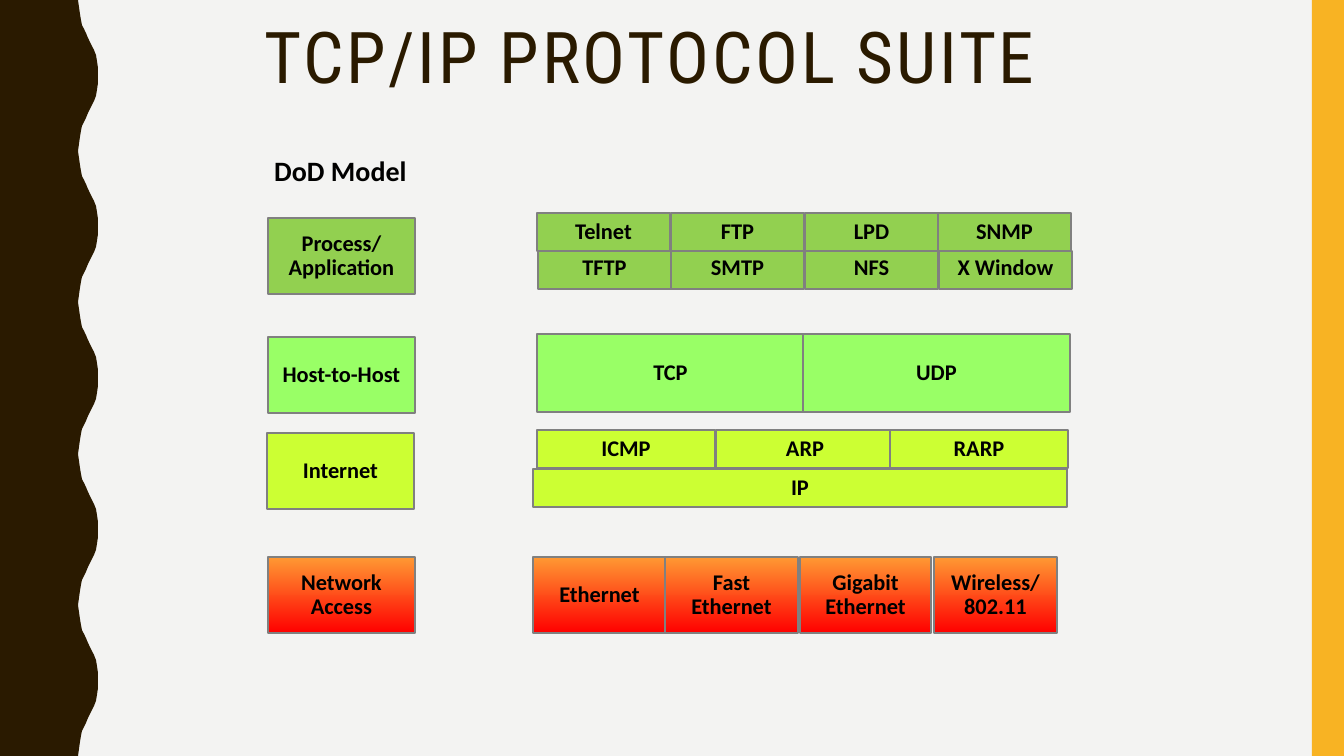
import pptx
import pptx.util
import pptx.dml.color
import pptx.enum.shapes
import pptx.enum.text

PX = 914400 / 100.8
RECT = pptx.enum.shapes.MSO_SHAPE.RECTANGLE
ANCHOR = pptx.enum.text.MSO_ANCHOR


def rgb(value):
    return pptx.dml.color.RGBColor.from_string(value)


def put_text(sp, text, size=16, font="Calibri", color="000000", bold=True,
             anchor=ANCHOR.MIDDLE, wrap=False, spacing=0):
    tf = sp.text_frame
    tf.word_wrap = wrap
    tf.vertical_anchor = anchor
    tf.text = text
    for p in tf.paragraphs:
        p.alignment = pptx.enum.text.PP_ALIGN.CENTER
        p.line_spacing = 0.9
        for r in p.runs:
            r.font.size = pptx.util.Pt(size)
            r.font.name = font
            r.font.bold = bold
            r.font.color.rgb = rgb(color)
            if spacing:
                r.font._element.set("spc", str(spacing * 100))


prs = pptx.Presentation()
prs.slide_width = round(1344 * PX)
prs.slide_height = round(756 * PX)
s = prs.slides.add_slide(prs.slide_layouts[6])
s.background.fill.solid()
s.background.fill.fore_color.rgb = rgb("F3F3F2")

period = 151.2
crest = [(78, 0), (79, 7), (80, 14), (81, 20), (82, 25), (84, 29), (86, 33), (88, 38),
         (90, 42), (92, 46), (94, 50), (96, 55), (97, 61), (98, 68), (98, 76)]
wave = crest + [(x, period - y) for x, y in reversed(crest[:-1])]
edge = [(x, y + period * i) for i in range(5) for x, y in wave]
fb = s.shapes.build_freeform(0, 0, PX)
fb.add_line_segments(edge + [(0, 756)], close=True)
border = fb.convert_to_shape()
stripe = s.shapes.add_shape(RECT, round(1312 * PX), 0, round(32 * PX), round(756 * PX))
for sp, color in [(border, "2A1A00"), (stripe, "F8B323")]:
    sp.shadow.inherit = False
    sp.fill.solid()
    sp.fill.fore_color.rgb = rgb(color)
    sp.line.fill.background()

title = s.shapes.add_textbox(*[round(v * PX) for v in (104, 17, 1092, 163)])
put_text(title, "TCP/IP PROTOCOL SUITE", size=51, font="Roboto Condensed", color="2A1A00",
         bold=False, anchor=ANCHOR.TOP, wrap=True, spacing=2)
heading = s.shapes.add_textbox(*[round(v * PX) for v in (253, 152, 175, 52)])
put_text(heading, "DoD Model", size=20, anchor=ANCHOR.TOP)

GREEN, MINT, LIME, FIRE = ["92D050"], ["99FF66"], ["CCFF33"], ["FF9933", "FF0000"]
boxes = [
    (268, 218, 147, 76, GREEN, "Process/\vApplication"),
    (268, 337, 147, 76, MINT, "Host-to-Host"),
    (267, 433, 147, 76, LIME, "Internet"),
    (268, 557, 147, 76, FIRE, "Network\vAccess"),
]
rows = [
    (213, 38, GREEN, [537, 671, 805, 938], [133] * 4, ["Telnet", "FTP", "LPD", "SNMP"]),
    (251, 38, GREEN, [538, 671, 805, 939], [133] * 4, ["TFTP", "SMTP", "NFS", "X Window"]),
    (334, 78, MINT, [537, 803], [267] * 2, ["TCP", "UDP"]),
    (430, 38, LIME, [537, 716, 890], [178] * 3, ["ICMP", "ARP", "RARP"]),
    (469, 38, LIME, [533], [534], ["IP"]),
    (557, 76, FIRE, [533, 665, 800, 934], [133, 133, 131, 123],
     ["Ethernet", "Fast\vEthernet", "Gigabit\nEthernet", "Wireless/802.11"]),
]
for top, height, colors, lefts, widths, labels in rows:
    for left, width, label in zip(lefts, widths, labels):
        boxes.append((left, top, width, height, colors, label))

for left, top, width, height, colors, label in boxes:
    sp = s.shapes.add_shape(RECT, *[round(v * PX) for v in (left, top, width, height)])
    sp.shadow.inherit = False
    if len(colors) == 1:
        sp.fill.solid()
        sp.fill.fore_color.rgb = rgb(colors[0])
    else:
        sp.fill.gradient()
        sp.fill.gradient_angle = 270
        for stop, color, position in zip(sp.fill.gradient_stops, colors, (0, 1)):
            stop.color.rgb = rgb(color)
            stop.position = position
    sp.line.color.rgb = rgb("808080")
    sp.line.width = pptx.util.Pt(1.5)
    put_text(sp, label, wrap=label == "Wireless/802.11",
             anchor=ANCHOR.TOP if top == 251 else ANCHOR.MIDDLE)

prs.save("out.pptx")
